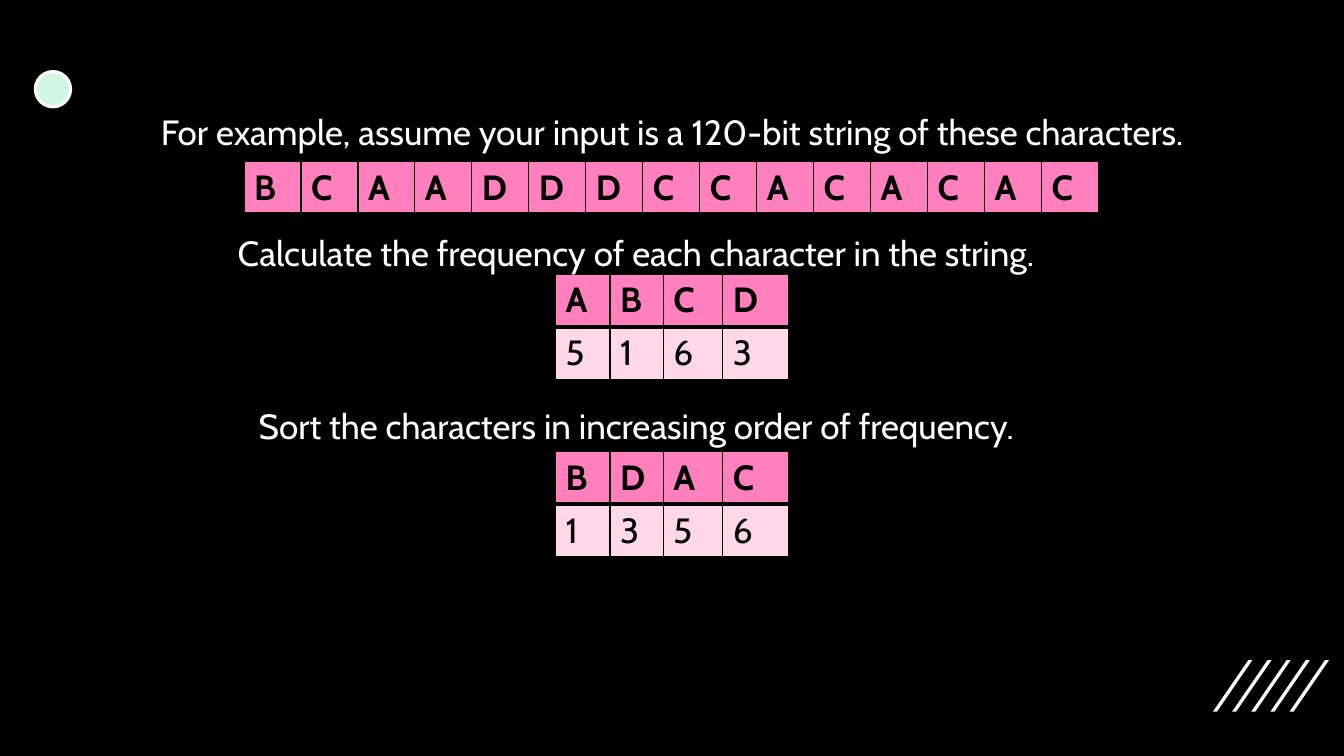
"""Build the slide that counts and sorts the characters of an example string."""
from dataclasses import dataclass

from lxml.etree import SubElement
from pptx import Presentation
from pptx.dml.color import RGBColor as Color
from pptx.enum.shapes import MSO_SHAPE as Shape
from pptx.enum.text import MSO_AUTO_SIZE as AutoSize, PP_ALIGN as Align
from pptx.oxml.ns import qn
from pptx.util import Inches, Pt

STEPS = [
    ("For example, assume your input is a 120-bit string of these characters.", (1.14, 1.05, 11.05)),
    ("Calculate the frequency of each character in the string.", (1.69, 2.25, 9.23)),
    ("Sort the characters in increasing order of frequency.", (2.06, 3.96, 8.5)),
]
COUNT_COLUMNS = [0.54, 0.53, 0.59, 0.65]
TABLES = [
    (["BCAADDDCCACACAC"], (2.42, 1.6), [8.48 / 15] * 15),
    (["ABCD", "5163"], (5.51, 2.72), COUNT_COLUMNS),
    (["BDAC", "1356"], (5.51, 4.48), COUNT_COLUMNS),
]
ROW_HEIGHT = 1.03 / 2
SLASHES = {"count": 5, "left": 12.03, "top": 6.55, "step": 0.19, "width": 0.39, "height": 0.51, "stroke": 0.04}
DOT = (0.35, 0.71, 0.35, 0.35)


@dataclass(frozen=True)
class Theme:
    black: str = "000000"
    white: str = "FFFFFF"
    mint: str = "CFF7E1"
    header: str = "FF80BD"
    body: str = "FFD8E8"
    font: str = "Cabin"
    size: float = 25
    thin: float = 1
    thick: float = 3
    outline: float = 2.25


THEME = Theme()


def paint(target, color):
    target.fill.solid()
    target.fill.fore_color.rgb = Color.from_string(color)


def write(frame, text, color=THEME.white, bold=False, align=Align.LEFT):
    para = frame.paragraphs[0]
    para.alignment = align
    span = para.add_run()
    span.text = text
    span.font.name = THEME.font
    span.font.size = Pt(THEME.size)
    span.font.bold = bold
    span.font.color.rgb = Color.from_string(color)


def add_step(page, text, place):
    left, top, width = place
    box = page.shapes.add_textbox(*map(Inches, (left, top, width, ROW_HEIGHT)))
    box.text_frame.word_wrap = True
    box.text_frame.auto_size = AutoSize.SHAPE_TO_FIT_TEXT
    write(box.text_frame, text, align=Align.CENTER)


def add_borders(cell, bottom):
    properties = cell._tc.get_or_add_tcPr()
    widths = {"lnL": THEME.thin, "lnR": THEME.thin, "lnT": THEME.thin, "lnB": bottom}
    for position, (side, width) in enumerate(widths.items()):
        line = properties.makeelement(qn(f"a:{side}"), {"w": str(Pt(width))})
        fill = SubElement(line, qn("a:solidFill"))
        SubElement(fill, qn("a:srgbClr"), val=THEME.black)
        properties.insert(position, line)


def add_grid(page, rows, place, widths):
    size = (sum(widths), ROW_HEIGHT * len(rows))
    grid = page.shapes.add_table(len(rows), len(widths), *map(Inches, place + size)).table
    for column, width in zip(grid.columns, widths):
        column.width = Inches(width)
    for row, letters in enumerate(rows):
        is_header = row == 0
        for column, letter in enumerate(letters):
            cell = grid.cell(row, column)
            paint(cell, THEME.header if is_header else THEME.body)
            write(cell.text_frame, letter, color=THEME.black, bold=is_header)
            on_divider = is_header or row == 1
            add_borders(cell, THEME.thick if is_header else THEME.thin)
            if on_divider and not is_header:
                top = cell._tc.tcPr.find(qn("a:lnT"))
                top.set("w", str(Pt(THEME.thick)))


def add_slashes(page, count, left, top, step, width, height, stroke):
    for index in range(count):
        start = left + index * step
        corners = [
            (start + stroke, top + height),
            (start, top + height),
            (start + width - stroke, top),
            (start + width, top),
        ]
        points = [(Inches(x), Inches(y)) for x, y in corners]
        builder = page.shapes.build_freeform(*points[0])
        builder.add_line_segments(points[1:], close=True)
        slash = builder.convert_to_shape()
        slash.shadow.inherit = False
        paint(slash, THEME.white)
        slash.line.fill.background()


def add_dot(page):
    dot = page.shapes.add_shape(Shape.OVAL, *map(Inches, DOT))
    dot.shadow.inherit = False
    paint(dot, THEME.mint)
    dot.line.color.rgb = Color.from_string(THEME.white)
    dot.line.width = Pt(THEME.outline)


def main():
    deck = Presentation()
    deck.slide_width, deck.slide_height = Inches(13.33), Inches(7.5)
    page = deck.slides.add_slide(deck.slide_layouts[6])
    paint(page.background, THEME.black)
    add_slashes(page, **SLASHES)
    add_dot(page)
    for rows, place, widths in TABLES:
        add_grid(page, rows, place, widths)
    for text, place in STEPS:
        add_step(page, text, place)
    deck.save("out.pptx")


if __name__ == "__main__":
    main()
